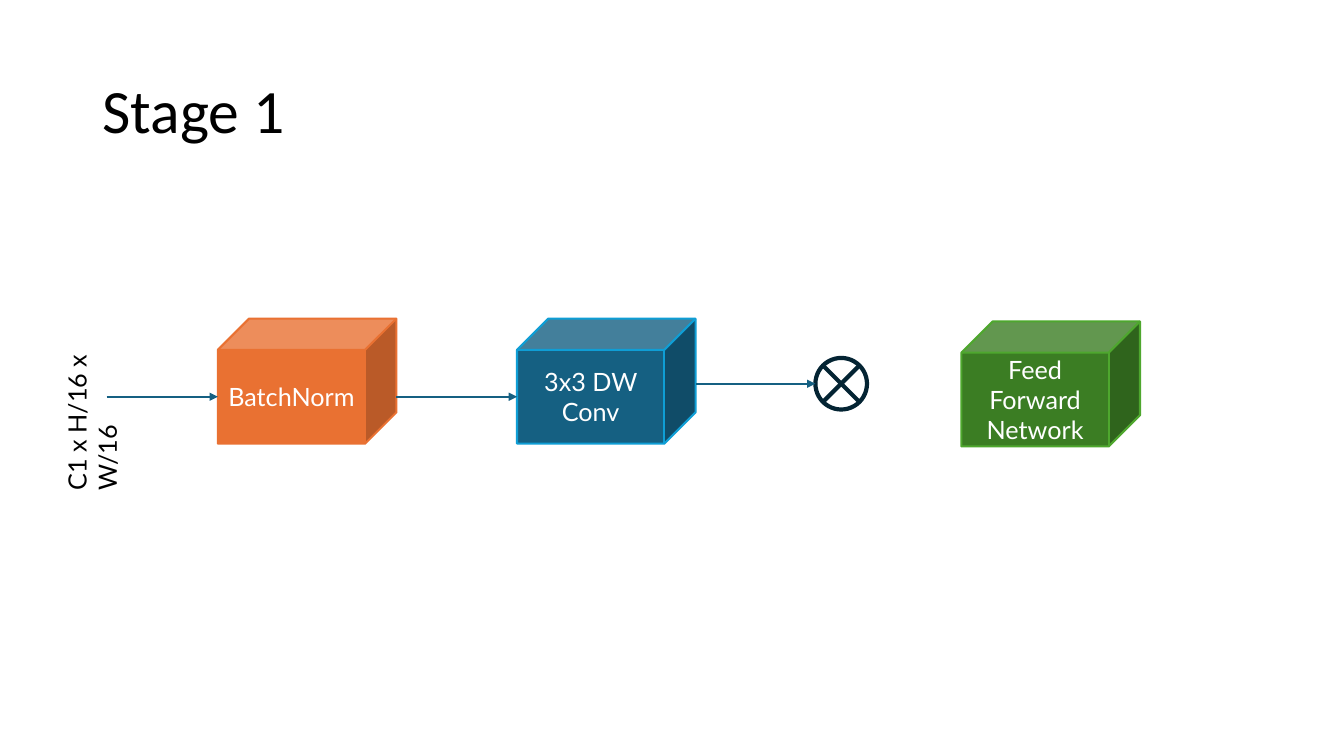
from lxml import etree
from pptx import Presentation
from pptx.dml.color import RGBColor
from pptx.enum.shapes import MSO_CONNECTOR as Connector, MSO_SHAPE as Shape
from pptx.enum.text import MSO_ANCHOR as Anchor, MSO_AUTO_SIZE as AutoSize, PP_ALIGN as Align
from pptx.oxml.ns import qn
from pptx.util import Cm, Pt

BLACK = RGBColor(0, 0, 0)
WHITE = RGBColor(255, 255, 255)
ORANGE = RGBColor(0xE9, 0x71, 0x32)
TEAL = RGBColor(0x15, 0x60, 0x82)
SKY = RGBColor(0x0F, 0x9E, 0xD5)
GREEN = RGBColor(0x3B, 0x7D, 0x23)
LIME = RGBColor(0x4E, 0xA7, 0x2E)
NAVY = RGBColor(0x04, 0x24, 0x33)

BLOCK_WIDTH, BLOCK_HEIGHT = 4.5, 3.15
BLOCK_TOP = 8.03
JUNCTION_SIZE = 1.3
BLOCKS = [
    ("BatchNorm", 5.49, BLOCK_TOP, ORANGE, ORANGE),
    ("3x3 DW Conv", 13.03, BLOCK_TOP, TEAL, SKY),
    ("Feed Forward Network", 24.23, 8.1, GREEN, LIME),
]


def apply(target, values):
    for name, value in values.items():
        setattr(target, name, value)


def write(frame, text, align, size, font, color, **frame_values):
    apply(frame, {"word_wrap": True, "auto_size": AutoSize.NONE, **frame_values})
    paragraph = frame.paragraphs[0]
    paragraph.text = text
    paragraph.alignment = align
    apply(paragraph.font, {"size": Pt(size), "name": font})
    paragraph.font.color.rgb = color
    return paragraph


def add_title(slide, left, top, width, height):
    title = slide.shapes.title
    apply(title, {"left": Cm(left), "top": Cm(top), "width": Cm(width), "height": Cm(height)})
    paragraph = write(title.text_frame, "Stage 1", Align.LEFT, 44, "Calibri", BLACK,
                      vertical_anchor=Anchor.MIDDLE)
    paragraph.line_spacing = 0.9


def add_input_label(slide, left, top, width, height):
    label = slide.shapes.add_textbox(Cm(left), Cm(top), Cm(width), Cm(height))
    label.rotation = 270
    write(label.text_frame, "C1 x H/16 x W/16", Align.LEFT, 18, "Lato", BLACK,
          vertical_anchor=Anchor.TOP, margin_right=Cm(0.6))


def add_block(slide, text, left, top, fill, line):
    block = slide.shapes.add_shape(
        Shape.CUBE, Cm(left), Cm(top), Cm(BLOCK_WIDTH), Cm(BLOCK_HEIGHT))
    block.shadow.inherit = False
    block.fill.solid()
    block.fill.fore_color.rgb = fill
    block.line.color.rgb = line
    block.line.width = Pt(1.5)
    write(block.text_frame, text, Align.CENTER, 18, "Lato", WHITE,
          vertical_anchor=Anchor.MIDDLE)


def add_junction(slide, left, top):
    junction = slide.shapes.add_shape(
        Shape.FLOWCHART_SUMMING_JUNCTION, Cm(left), Cm(top), Cm(JUNCTION_SIZE), Cm(JUNCTION_SIZE))
    junction.shadow.inherit = False
    junction.fill.background()
    junction.line.color.rgb = NAVY
    junction.line.width = Pt(3)


def add_arrow(slide, start, end, y):
    arrow = slide.shapes.add_connector(Connector.STRAIGHT, Cm(start), Cm(y), Cm(end), Cm(y))
    arrow.line.color.rgb = TEAL
    arrow.line.width = Pt(1.5)
    etree.SubElement(arrow.line._get_or_add_ln(), qn("a:tailEnd"), type="triangle")
    etree.SubElement(arrow._element.spPr, qn("a:effectLst"))


def add_pipeline(slide, junction_left, junction_top):
    for block in BLOCKS:
        add_block(slide, *block)
    add_junction(slide, junction_left, junction_top)
    norm_left, conv_left = BLOCKS[0][1], BLOCKS[1][1]
    front_middle = BLOCK_TOP + BLOCK_HEIGHT * 0.625
    add_arrow(slide, 2.69, norm_left, front_middle)
    add_arrow(slide, norm_left + BLOCK_WIDTH, conv_left, front_middle)
    add_arrow(slide, conv_left + BLOCK_WIDTH, junction_left, junction_top + JUNCTION_SIZE / 2)


def main():
    presentation = Presentation()
    apply(presentation, {"slide_width": Cm(33.87), "slide_height": Cm(19.05)})
    slide = presentation.slides.add_slide(presentation.slide_layouts[5])
    add_title(slide, 2.33, 1.01, 29.21, 3.68)
    add_pipeline(slide, 20.55, 9.02)
    add_input_label(slide, -0.86, 9.3, 5.59, 1.02)
    presentation.save("out.pptx")


if __name__ == "__main__":
    main()
